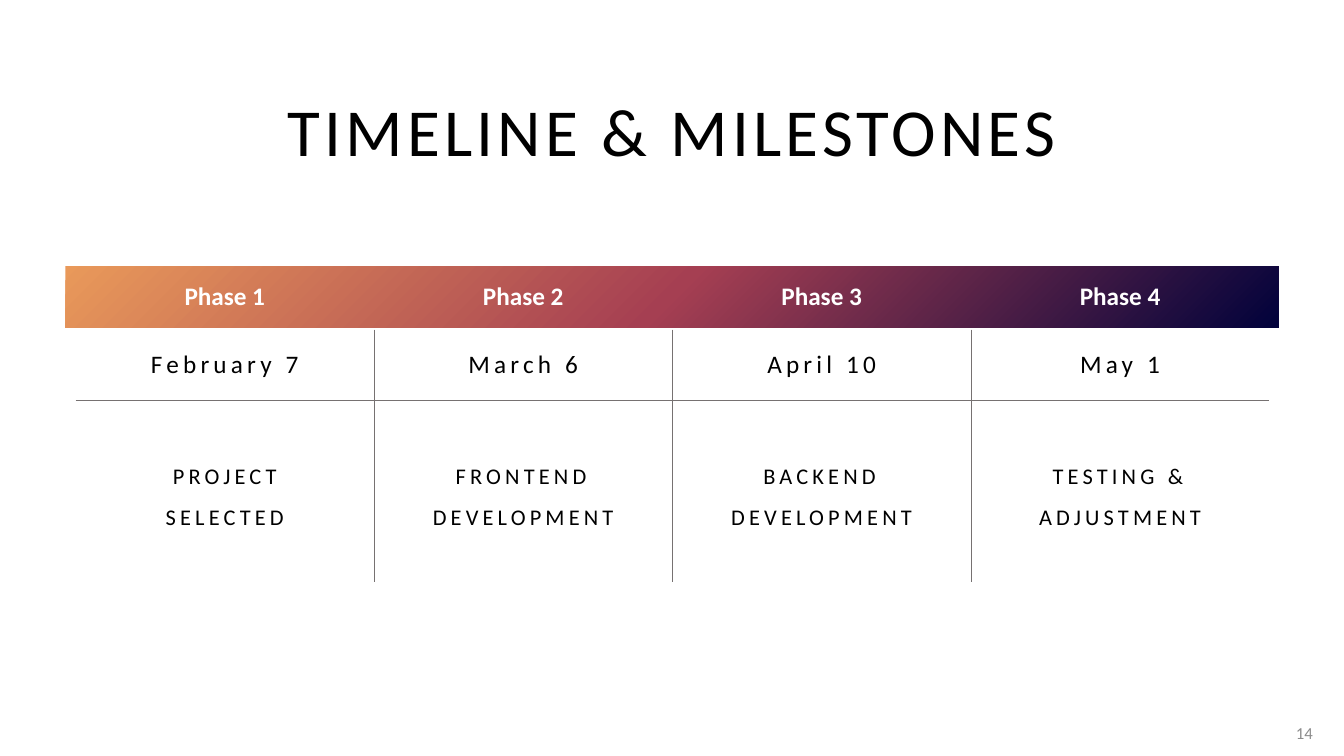
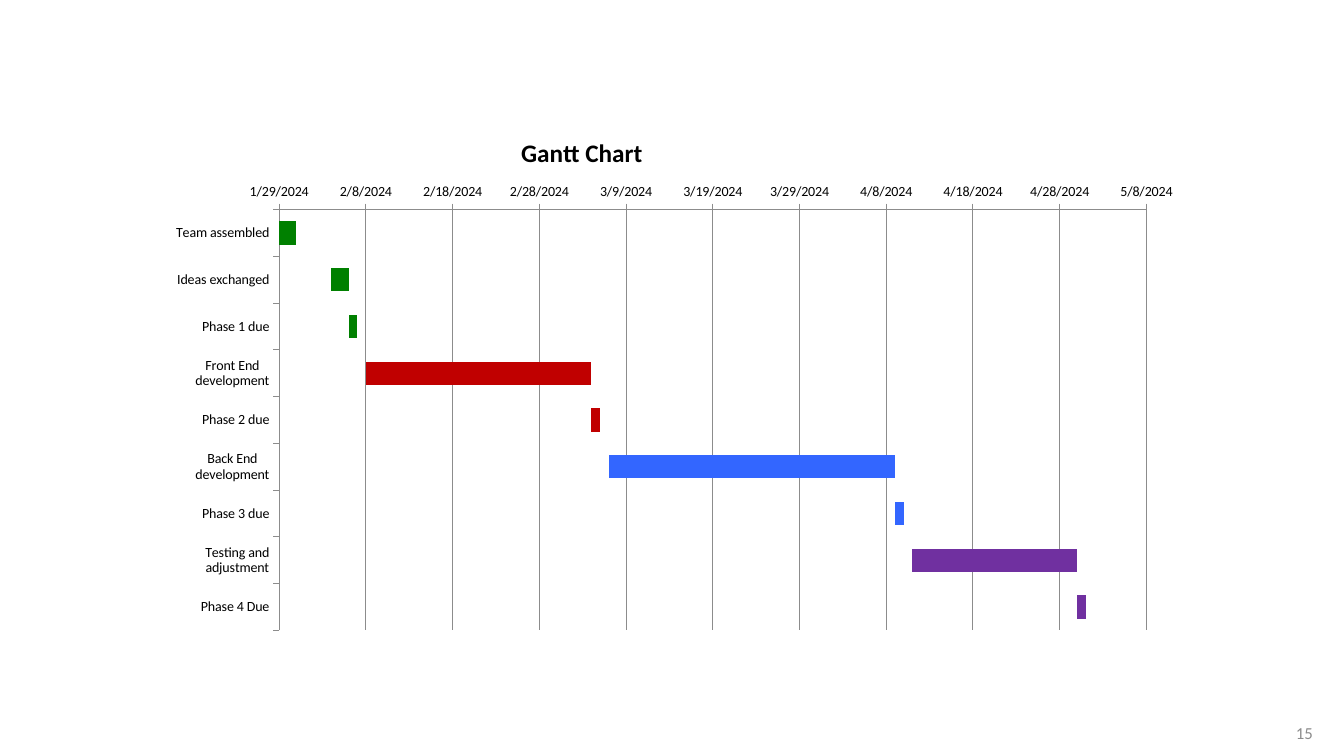
"""Build the timeline table slide and the Gantt chart slide."""
from lxml.etree import SubElement
from pptx import Presentation
from pptx.chart.data import CategoryChartData
from pptx.dml.color import RGBColor
from pptx.enum.chart import XL_CHART_TYPE, XL_TICK_MARK
from pptx.enum.shapes import MSO_SHAPE
from pptx.enum.text import MSO_ANCHOR, PP_ALIGN
from pptx.oxml import parse_xml
from pptx.oxml.ns import nsdecls, qn
from pptx.util import Inches, Pt

FONT = "Calibri"
COLORS = {
    "text": "000000", "white": "FFFFFF", "number": "8C8C8C", "rule": "767171",
    "axis": "8C8C8C", "navy": "01023B", "crimson": "A53F52", "orange": "E9995A",
    "start": "008000", "front": "C00000", "back": "3366FF", "test": "7030A0",
}


def write(frame, text, size=18, color="text", bold=False, align=PP_ALIGN.CENTER,
          spacing=0, line_spacing=None):
    """Fill a text frame, one paragraph per line of text."""
    frame.word_wrap = True
    frame.vertical_anchor = MSO_ANCHOR.MIDDLE
    frame.text = text
    for paragraph in frame.paragraphs:
        paragraph.alignment = align
        paragraph.line_spacing = line_spacing
        for run in paragraph.runs:
            run.font.name = FONT
            run.font.size = Pt(size)
            run.font.bold = bold
            run.font.color.rgb = RGBColor.from_string(COLORS[color])
            if spacing:
                run.font._element.set("spc", str(spacing * 100))


def place(element, index, **fractions):
    """Give a chart part a manual layout in fractions of the chart."""
    for old in element.findall(qn("c:layout")):
        element.remove(old)
    layout = parse_xml(f"<c:layout {nsdecls('c')}><c:manualLayout/></c:layout>")
    if "w" in fractions:
        SubElement(layout[0], qn("c:layoutTarget"), val="inner")
    for axis in "xy":
        SubElement(layout[0], qn(f"c:{axis}Mode"), val="edge")
    for key, value in fractions.items():
        SubElement(layout[0], qn(f"c:{key}"), val=str(value))
    element.insert(index, layout)


prs = Presentation()
prs.slide_width = Inches(13.33)
prs.slide_height = Inches(7.5)
timeline = prs.slides.add_slide(prs.slide_layouts[5])
gantt = prs.slides.add_slide(prs.slide_layouts[6])

for number, slide in enumerate((timeline, gantt), start=14):
    page = slide.shapes.add_textbox(Inches(12.63), Inches(7.07), Inches(0.49), Inches(0.4))
    write(page.text_frame, str(number), size=12, color="number", align=PP_ALIGN.RIGHT)

heading = timeline.shapes.title
heading.left, heading.top = Inches(0.65), Inches(0.84)
heading.width, heading.height = Inches(12.03), Inches(0.9)
write(heading.text_frame, "TIMELINE & MILESTONES", size=48, spacing=3)

band = timeline.shapes.add_shape(
    MSO_SHAPE.RECTANGLE, Inches(0.65), Inches(2.64), Inches(12.03), Inches(0.61))
band.shadow.inherit = False
band.line.fill.background()
band.fill.gradient()
gradient = band._element.spPr.find(qn("a:gradFill"))
for part in list(gradient):
    gradient.remove(part)
stops = SubElement(gradient, qn("a:gsLst"))
for position, name in ((0, "navy"), (50, "crimson"), (100, "orange")):
    stop = SubElement(stops, qn("a:gs"), pos=str(position * 1000))
    SubElement(stop, qn("a:srgbClr"), val=COLORS[name])
circle = SubElement(gradient, qn("a:path"), path="circle")
SubElement(circle, qn("a:fillToRect"), l="100000", t="100000")

phases = [
    ("Phase 1", "February 7", "PROJECT\nSELECTED"),
    ("Phase 2", "March 6", "FRONTEND DEVELOPMENT"),
    ("Phase 3", "April 10", "BACKEND\vDEVELOPMENT"),
    ("Phase 4", "May 1", "TESTING & ADJUSTMENT"),
]
row_styles = [
    (0.64, {"color": "white", "bold": True}),
    (0.7, {"spacing": 3}),
    (1.8, {"size": 16, "spacing": 3, "line_spacing": 1.5}),
]
milestones = timeline.shapes.add_table(
    len(row_styles), len(phases), Inches(0.75), Inches(2.63), Inches(11.84), Inches(3.14)).table
milestones.horz_banding = False
milestones._tbl.tblPr.find(qn("a:tableStyleId")).text = "{2D5ABB26-0587-4C30-8999-92F81FD0307C}"
for row, (height, style) in enumerate(row_styles):
    milestones.rows[row].height = Inches(height)
    for column, phase in enumerate(phases):
        milestones.columns[column].width = Inches(2.96)
        cell = milestones.cell(row, column)
        write(cell.text_frame, phase[row], **style)
        cell.vertical_anchor = MSO_ANCHOR.MIDDLE
        edges = {"L": row > 0 and column > 0, "R": row > 0 and column < len(phases) - 1,
                 "T": row == 2, "B": row == 1}
        for side, ruled in edges.items():
            if ruled:
                border = SubElement(cell._tc.get_or_add_tcPr(), qn(f"a:ln{side}"), w=str(Pt(0.25)))
                SubElement(SubElement(border, qn("a:solidFill")), qn("a:srgbClr"), val=COLORS["rule"])
        cell.fill.background()

tasks = [
    ("Team assembled", 45319, 3, "start"),
    ("Ideas exchanged", 45326, 2, "start"),
    ("Phase 1 due", 45328, 1, "start"),
    ("Front End development", 45330, 26, "front"),
    ("Phase 2 due", 45356, 1, "front"),
    ("Back End development", 45358, 33, "back"),
    ("Phase 3 due", 45391, 1, "back"),
    ("Testing and adjustment", 45393, 19, "test"),
    ("Phase 4 Due", 45412, 1, "test"),
]
names, starts, days, groups = zip(*tasks)
schedule = CategoryChartData()
schedule.categories = names
schedule.add_series("Series 1", starts)
schedule.add_series("Series 2", days)
chart = gantt.shapes.add_chart(
    XL_CHART_TYPE.BAR_STACKED, Inches(1.54), Inches(1.14), Inches(10.24), Inches(5.22), schedule).chart
chart.has_legend = False
chart.font.name = FONT
chart.font.size = Pt(10)
chart.font.color.rgb = RGBColor.from_string(COLORS["text"])
write(chart.chart_title.text_frame, "Gantt Chart", bold=True)
place(chart.chart_title._element, 1, x=0.35, y=0.03)
place(chart._chartSpace.chart.plotArea, 0, x=0.12, y=0.18, w=0.84, h=0.8)

plot = chart.plots[0]
plot.gap_width = 100
plot.overlap = 100
plot.vary_by_categories = False
offsets, durations = plot.series
offsets.format.fill.background()
for index, group in enumerate(groups):
    bar = durations.points[index].format.fill
    bar.solid()
    bar.fore_color.rgb = RGBColor.from_string(COLORS[group])

task_axis, date_axis = chart.category_axis, chart.value_axis
task_axis.reverse_order = True
date_axis.minimum_scale = 45320
date_axis.maximum_scale = 45420
date_axis.major_unit = 10
date_axis.has_major_gridlines = True
date_axis.tick_labels.number_format = "m/d/yyyy"
date_axis.tick_labels.number_format_is_linked = False
for axis in (task_axis, date_axis):
    axis.major_tick_mark = XL_TICK_MARK.OUTSIDE
    axis.minor_tick_mark = XL_TICK_MARK.NONE
for ruled in (task_axis, date_axis, date_axis.major_gridlines):
    ruled.format.line.width = Pt(0.75)
    ruled.format.line.color.rgb = RGBColor.from_string(COLORS["axis"])

prs.save("out.pptx")
